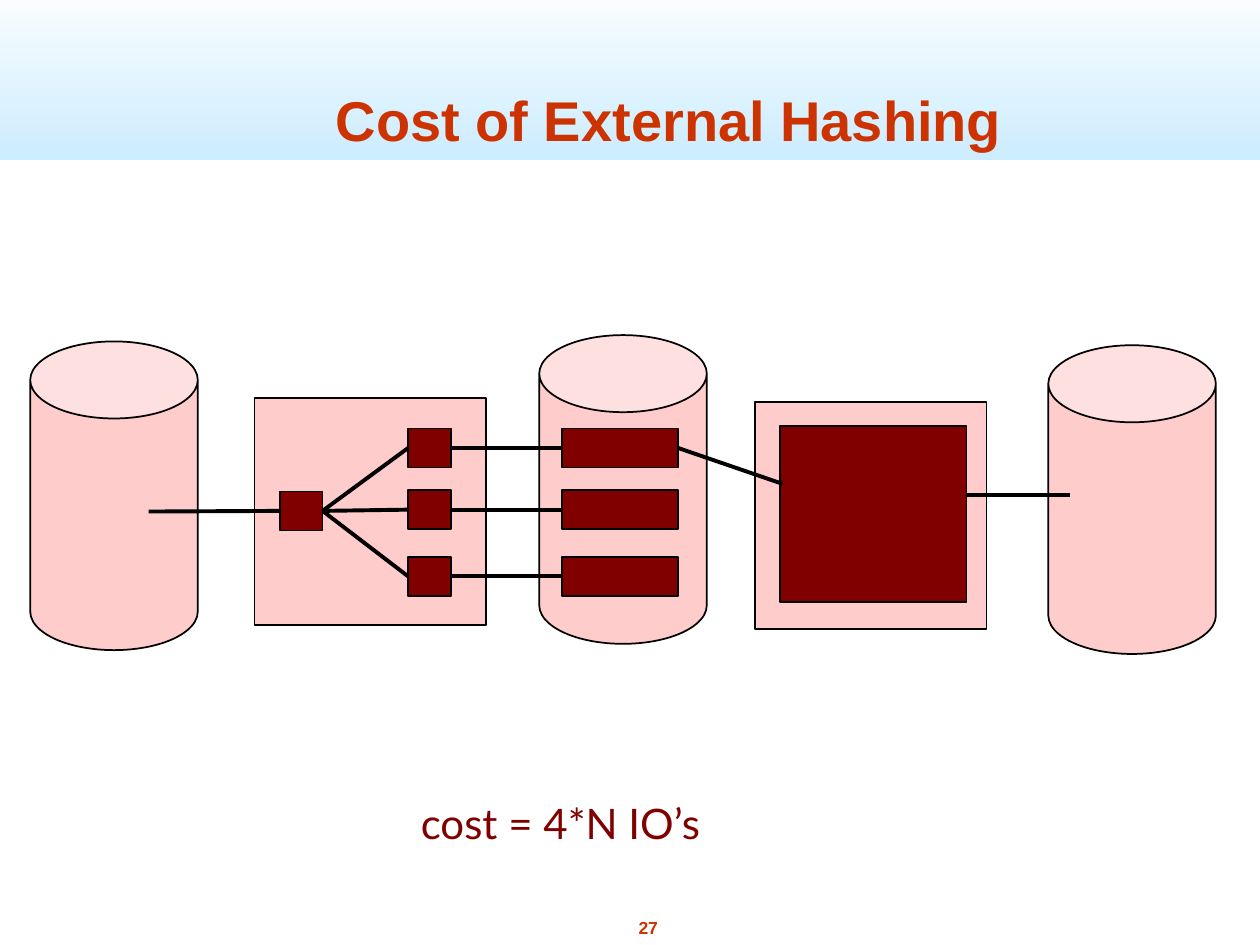
import pptx
import pptx.util
import pptx.dml.color
import pptx.enum.shapes
import pptx.enum.text
import pptx.oxml
import pptx.oxml.ns

Inches = pptx.util.Inches
Pt = pptx.util.Pt
Shape = pptx.enum.shapes.MSO_SHAPE
Align = pptx.enum.text.PP_ALIGN
Anchor = pptx.enum.text.MSO_ANCHOR
Fit = pptx.enum.text.MSO_AUTO_SIZE
LEFT, RIGHT = 1, 3


class Theme:
    sky, white, black = "CCECFF", "FFFFFF", "000000"
    rust, pink, dark = "CC3300", "FFCCCC", "800000"
    head, body, small = 32, 24, 10
    sans, note = "Arial", "Lato"
    edge, wire = 1, 2.25
    inset = 0.05


def color(code):
    return pptx.dml.color.RGBColor.from_string(code)


class Painter:
    def __init__(self, slide, theme):
        self.slide, self.theme = slide, theme

    def shape(self, kind, x, y, w, h, fill):
        item = self.slide.shapes.add_shape(
            kind, Inches(x), Inches(y), Inches(w), Inches(h))
        item.shadow.inherit = False
        item.fill.solid()
        item.fill.fore_color.rgb = color(fill)
        item.line.color.rgb = color(self.theme.black)
        item.line.width = Pt(self.theme.edge)
        return item

    def box(self, x, y, w, h, fill):
        return self.shape(Shape.RECTANGLE, x, y, w, h, fill)

    def disk(self, x, y):
        can = self.shape(Shape.CAN, x, y, 1.33, 2.45, self.theme.pink)
        can.adjustments[0] = 0.46
        return can

    def band(self, x, y, w, h):
        item = self.box(x, y, w, h, self.theme.sky)
        item.line.fill.background()
        item.fill.gradient()
        item.fill.gradient_angle = 90
        for stop, code in zip(item.fill.gradient_stops,
                              (self.theme.sky, self.theme.white)):
            stop.color.rgb = color(code)
        # Keep the band behind the title
        self.slide.shapes.title.element.addprevious(item.element)

    def wire(self, start, end):
        """Join two ends, each a point (x, y) or a (box, side) pair."""
        line = self.slide.shapes.add_connector(
            pptx.enum.shapes.MSO_CONNECTOR.STRAIGHT, 0, 0, 0, 0)
        # Points go first, so that joined ends are placed last
        if not hasattr(start[0], "fill"):
            line.begin_x, line.begin_y = map(Inches, start)
        if not hasattr(end[0], "fill"):
            line.end_x, line.end_y = map(Inches, end)
        if hasattr(start[0], "fill"):
            line.begin_connect(*start)
        if hasattr(end[0], "fill"):
            line.end_connect(*end)
        line.line.color.rgb = color(self.theme.black)
        line.line.width = Pt(self.theme.wire)
        line.element.spPr.append(
            pptx.oxml.parse_xml("<a:effectLst %s/>" % pptx.oxml.ns.nsdecls("a")))

    def letter(self, item, text, size, font, ink, bold=False, align=Align.LEFT):
        frame = item.text_frame
        frame.margin_left = frame.margin_right = Inches(self.theme.inset)
        frame.margin_top = frame.margin_bottom = Inches(self.theme.inset)
        frame.text = text
        para = frame.paragraphs[0]
        para.alignment = align
        para.font.size, para.font.name = Pt(size), font
        para.font.bold, para.font.color.rgb = bold, color(ink)
        return frame

    def title(self, text, x, y, w, h):
        item = self.slide.shapes.title
        item.left, item.top = Inches(x), Inches(y)
        item.width, item.height = Inches(w), Inches(h)
        look = self.theme
        frame = self.letter(item, text, look.head, look.sans, look.rust,
                            True, Align.CENTER)
        frame.auto_size = Fit.NONE
        frame.vertical_anchor = Anchor.BOTTOM

    def label(self, text, x, y, w, h, space, *style):
        item = self.slide.shapes.add_textbox(
            Inches(x), Inches(y), Inches(w), Inches(h))
        frame = self.letter(item, text, *style)
        frame.word_wrap = False
        frame.auto_size = Fit.SHAPE_TO_FIT_TEXT
        frame.paragraphs[0].space_before = Pt(space)


def main():
    deck = pptx.Presentation()
    deck.slide_width, deck.slide_height = Inches(10), Inches(7.5)
    look = Theme()
    draw = Painter(deck.slides.add_slide(deck.slide_layouts[5]), look)

    # Heading and page number
    draw.band(0, -0.17, 10, 1.44)
    draw.title("Cost of External Hashing", 1.06, 0.01, 8.5, 1.25)
    draw.label("27", 5.01, 7.23, 0.27, 0.27, 6,
               look.small, look.sans, look.rust, True, Align.CENTER)

    # Disks and memory areas
    for x, y in ((0.24, 2.71), (8.32, 2.74), (4.28, 2.66)):
        draw.disk(x, y)
    for x, y in ((2.02, 3.16), (5.99, 3.19)):
        draw.box(x, y, 1.84, 1.8, look.pink)

    # Input buffer, hash buckets, partitions on disk and hash table
    source = draw.box(2.22, 3.9, 0.34, 0.31, look.dark)
    rows = (3.4, 3.89, 4.42)
    buckets = [draw.box(3.24, y, 0.34, 0.31, look.dark) for y in rows]
    parts = [draw.box(4.46, y, 0.92, 0.31, look.dark) for y in rows]
    draw.box(6.19, 3.38, 1.48, 1.4, look.dark)

    # Data flow from left to right
    draw.wire((1.18, 4.06), (source, LEFT))
    for bucket, part in zip(buckets, parts):
        draw.wire((source, RIGHT), (bucket, LEFT))
        draw.wire((bucket, RIGHT), (part, LEFT))
    draw.wire((parts[0], RIGHT), (6.21, 3.84))
    draw.wire((7.67, 3.93), (8.49, 3.93))

    # Total cost
    draw.label("cost = 4*N IO’s", 3.29, 6.28, 2.73, 0.5, 5,
               look.body, look.note, look.dark)

    deck.save("out.pptx")


if __name__ == "__main__":
    main()
